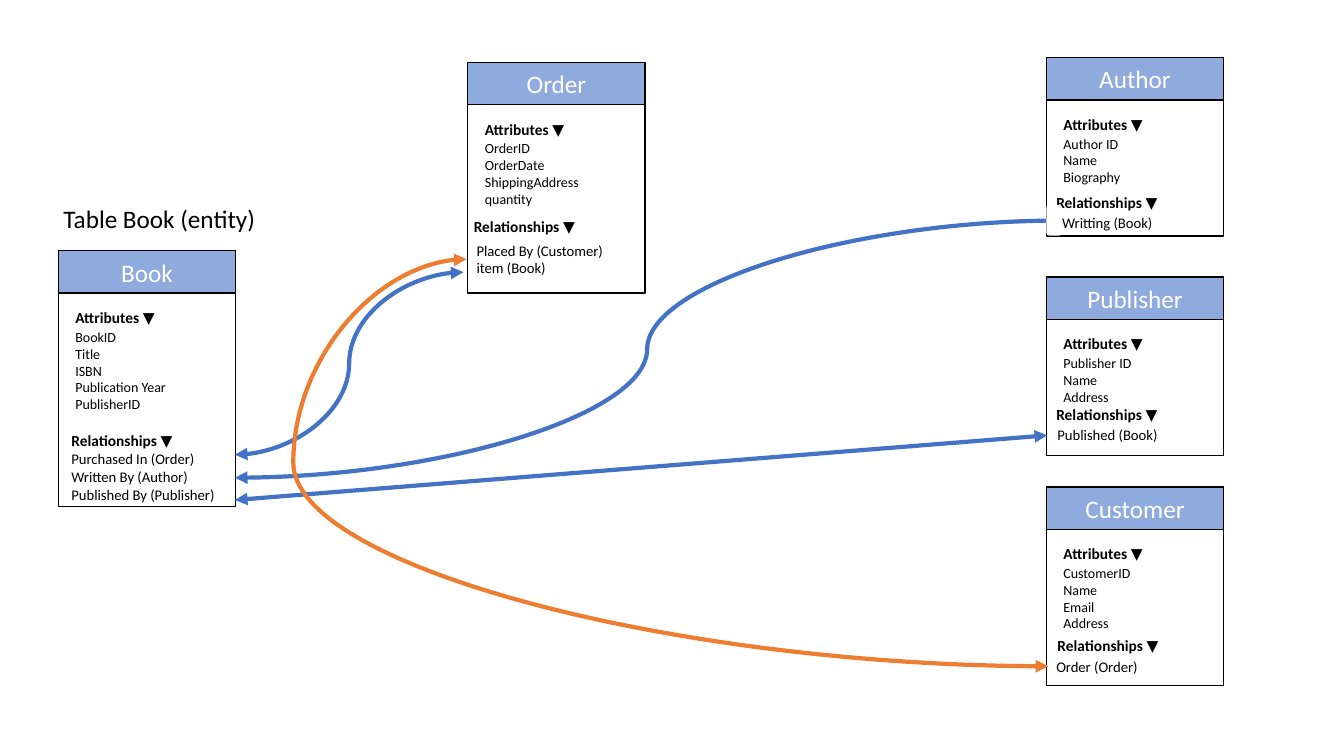
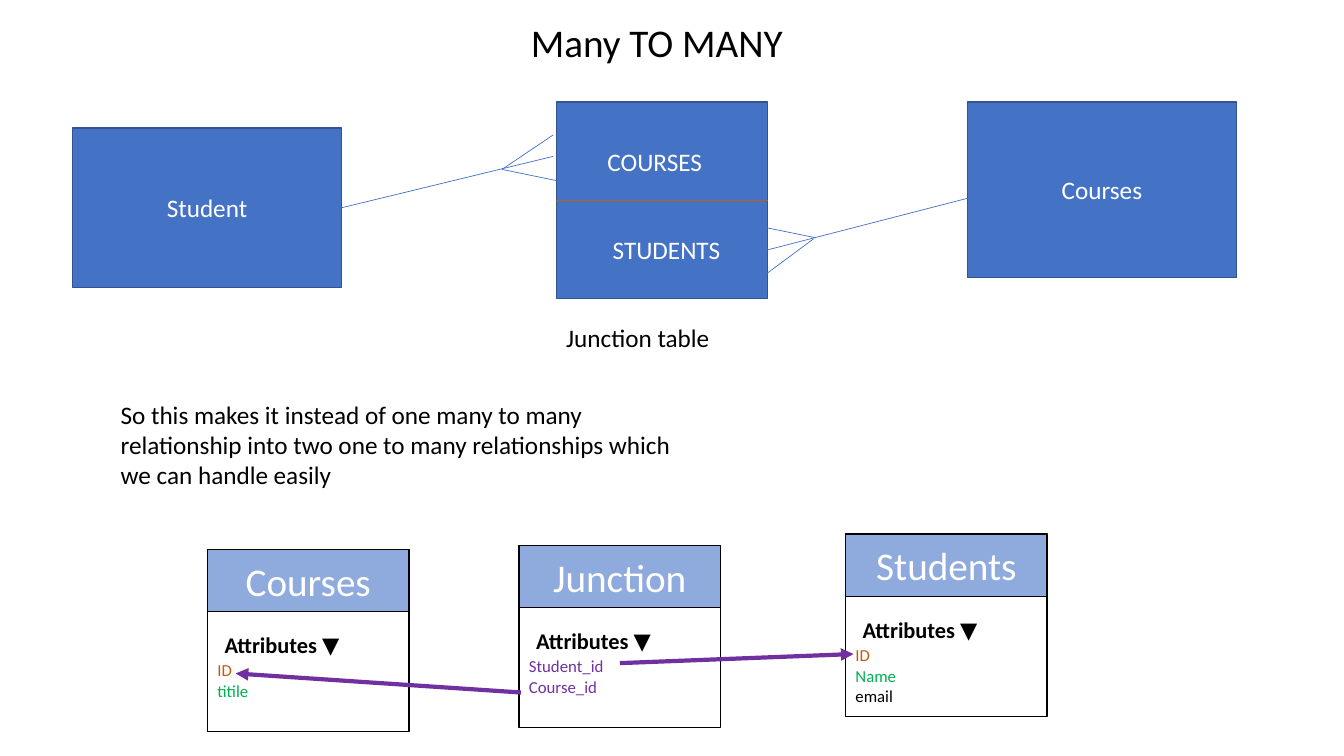
from dataclasses import dataclass
from typing import NamedTuple, Optional

from lxml.etree import SubElement
from pptx import Presentation
from pptx.dml.color import RGBColor
from pptx.enum.shapes import MSO_CONNECTOR as Link, MSO_SHAPE as Preset
from pptx.enum.text import MSO_ANCHOR as Anchor, MSO_AUTO_SIZE as AutoSize, PP_ALIGN as Align
from pptx.oxml.ns import qn
from pptx.shapes.autoshape import Shape
from pptx.shapes.connector import Connector
from pptx.slide import Slide
from pptx.text.text import TextFrame
from pptx.util import Cm, Pt

FONT = "Calibri"
BLACK = RGBColor(0x00, 0x00, 0x00)
WHITE = RGBColor(0xFF, 0xFF, 0xFF)
BLUE = RGBColor(0x44, 0x72, 0xC4)
DARK_BLUE = RGBColor(0x32, 0x54, 0x91)
LIGHT_BLUE = RGBColor(0x8F, 0xAA, 0xDC)
ORANGE = RGBColor(0xED, 0x7D, 0x31)
RUST = RGBColor(0xC5, 0x5A, 0x11)
GREEN = RGBColor(0x00, 0xB0, 0x50)
PURPLE = RGBColor(0x70, 0x30, 0xA0)

LINE_HEIGHT = 1.22 * 2.54 / 72  # cm per point of text
INSETS = 0.25


class Point(NamedTuple):
    x: float
    y: float


class Span(NamedTuple):
    text: str
    color: RGBColor = BLACK


@dataclass(frozen=True)
class EntityStyle:
    width: float
    header_height: float
    title_size: float
    heading_size: float
    field_size: float
    heading_offset: Point
    fields_offset: Point


@dataclass(frozen=True)
class Relationships:
    heading_offset: Point
    items_offset: Point
    items: tuple[str, ...]


@dataclass(frozen=True)
class Entity:
    name: str
    left: float
    top: float
    height: float
    fields: tuple[Span, ...]
    relationships: Optional[Relationships] = None


SMALL = EntityStyle(4.47, 1.07, 18, 11, 10, Point(0.18, 1.32), Point(0.18, 1.83))
LARGE = EntityStyle(5.08, 1.57, 28, 16, 12, Point(0.18, 1.93), Point(0, 2.67))


def plain(*texts: str) -> tuple[Span, ...]:
    return tuple(Span(text) for text in texts)


BOOK_ENTITIES = (
    Entity("Book", 1.47, 6.32, 6.45,
           plain("BookID", "Title", "ISBN", "Publication Year", "PublisherID"),
           Relationships(Point(0.08, 4.42), Point(0.08, 4.9),
                         ("Purchased In (Order)", "Written By (Author)",
                          "Published By (Publisher)"))),
    Entity("Author", 26.37, 1.45, 4.5, plain("Author ID", "Name", "Biography"),
           Relationships(Point(0, 3.28), Point(0.15, 3.81), ("Writting (Book)",))),
    Entity("Publisher", 26.37, 6.98, 4.5, plain("Publisher ID", "Name", "Address"),
           Relationships(Point(0, 3.1), Point(0.03, 3.63), ("Published (Book)",))),
    Entity("Customer", 26.37, 12.27, 5, plain("CustomerID", "Name", "Email", "Address"),
           Relationships(Point(0.03, 3.63), Point(0, 4.19), ("Order (Order)",))),
    Entity("Order", 11.79, 1.57, 5.82,
           plain("OrderID", "OrderDate", "ShippingAddress", "quantity"),
           Relationships(Point(-0.1, 3.78), Point(-0.03, 4.39),
                         ("Placed By (Customer)", "item (Book)"))),
)

JUNCTION_ENTITIES = (
    Entity("Courses", 5.23, 13.84, 4.6, (Span("ID", RUST), Span("titile", GREEN))),
    Entity("Students", 21.31, 13.46, 4.6,
           (Span("ID", RUST), Span("Name", GREEN), Span("email"))),
    Entity("Junction", 13.08, 13.74, 4.6,
           (Span("Student_id", PURPLE), Span("Course_id", PURPLE))),
)


def write(frame: TextFrame, spans: tuple[Span, ...], *, size: float,
          bold: bool = False, align: Align = Align.LEFT) -> None:
    """Write each span as a paragraph of its own."""
    for index, span in enumerate(spans):
        para = frame.paragraphs[0] if index == 0 else frame.add_paragraph()
        para.alignment = align
        run = para.add_run()
        run.text = span.text
        run.font.name = FONT
        run.font.size = Pt(size)
        run.font.bold = bold
        run.font.color.rgb = span.color


def add_text(owner, spans: tuple[Span, ...], left: float, top: float, width: float, *,
             size: float, bold: bool = False, rows: int = 0) -> None:
    height = INSETS + (rows or len(spans)) * size * LINE_HEIGHT
    box = owner.shapes.add_textbox(Cm(left), Cm(top), Cm(width), Cm(height))
    frame = box.text_frame
    frame.word_wrap = True
    frame.auto_size = AutoSize.SHAPE_TO_FIT_TEXT
    write(frame, spans, size=size, bold=bold)


def add_box(owner, left: float, top: float, width: float, height: float, *,
            fill: Optional[RGBColor] = None, line: RGBColor = BLACK, text: str = "",
            size: float = 18, preset: Preset = Preset.RECTANGLE) -> Shape:
    box = owner.shapes.add_shape(preset, Cm(left), Cm(top), Cm(width), Cm(height))
    box.shadow.inherit = False
    if fill is None:
        box.fill.background()
    else:
        box.fill.solid()
        box.fill.fore_color.rgb = fill
    box.line.color.rgb = line
    box.line.width = Pt(1)
    if text:
        box.text_frame.vertical_anchor = Anchor.MIDDLE
        write(box.text_frame, (Span(text, WHITE),), size=size, align=Align.CENTER)
    return box


def add_link(page: Slide, begin: Point, end: Point, *, color: RGBColor = BLUE,
             width: float = 0.5, arrows: tuple[str, ...] = (),
             kind: Link = Link.STRAIGHT, bend: Optional[float] = None) -> Connector:
    """Draw a connector; bend is where a curve turns, as a share of its width."""
    link = page.shapes.add_connector(kind, Cm(begin.x), Cm(begin.y), Cm(end.x), Cm(end.y))
    link.line.color.rgb = color
    link.line.width = Pt(width)
    properties = link.element.find(qn("p:spPr"))
    for arrow in arrows:
        SubElement(properties.find(qn("a:ln")), qn(f"a:{arrow}"), type="triangle")
    if bend is not None:
        guides = properties.find(qn("a:prstGeom")).find(qn("a:avLst"))
        SubElement(guides, qn("a:gd"), name="adj1", fmla=f"val {round(bend * 100000)}")
    SubElement(properties, qn("a:effectLst"))
    return link


def add_entity(page: Slide, entity: Entity, style: EntityStyle) -> None:
    group = page.shapes.add_group_shape()
    left, top, width = entity.left, entity.top, style.width
    add_box(group, left, top, width, entity.height)
    add_box(group, left, top, width, style.header_height, fill=LIGHT_BLUE,
            text=entity.name, size=style.title_size)

    def section(spans: tuple[Span, ...], offset: Point, size: float,
                bold: bool = False) -> None:
        add_text(group, spans, left + offset.x, top + offset.y, width - 0.1,
                 size=size, bold=bold)

    section(plain("Attributes ▼"), style.heading_offset, style.heading_size, bold=True)
    section(entity.fields, style.fields_offset, style.field_size)
    if entity.relationships:
        links = entity.relationships
        section(plain("Relationships ▼"), links.heading_offset, style.heading_size, bold=True)
        section(plain(*links.items), links.items_offset, 10.5)


def build_book_page(page: Slide) -> None:
    for entity in BOOK_ENTITIES:
        add_entity(page, entity, SMALL)
    add_text(page, plain("Table Book (entity)"), 1.35, 5, 5.79, size=18)

    both = ("headEnd", "tailEnd")
    for begin, end, color, kind, bend in (
        (Point(5.92, 12.04), Point(26.7, 5.56), BLUE, Link.CURVE, 0.5),
        (Point(5.92, 11.46), Point(11.68, 6.86), BLUE, Link.CURVE, 0.5),
        (Point(5.92, 12.6), Point(26.39, 10.97), BLUE, Link.STRAIGHT, None),
        (Point(11.76, 6.53), Point(26.42, 16.79), ORANGE, Link.CURVE, -0.298),
    ):
        add_link(page, begin, end, color=color, width=3, arrows=both, kind=kind, bend=bend)
    add_box(page, 26.39, 5.18, 0.36, 0.74, fill=WHITE, line=WHITE,
            preset=Preset.ROUNDED_RECTANGLE)


def build_junction_page(page: Slide) -> None:
    add_text(page, plain("Many TO MANY"), 13.13, 0.33, 15.47, size=28)
    student = add_box(page, 1.83, 3.23, 6.78, 4.01, fill=BLUE, line=DARK_BLUE, text="Student")
    add_box(page, 24.38, 2.57, 6.78, 4.42, fill=BLUE, line=DARK_BLUE, text="Courses")
    student_link = add_link(page, Point(8.61, 5.23), Point(13.94, 3.94))
    student_link.begin_connect(student, 3)
    junction = add_box(page, 14.02, 2.57, 5.33, 4.95, fill=BLUE, line=DARK_BLUE)

    for begin, end in (
        (Point(19.33, 6.3), Point(24.64, 4.93)),
        (Point(12.65, 4.27), Point(13.94, 3.4)),
        (Point(12.65, 4.27), Point(14.02, 4.55)),
        (Point(20.55, 5.99), Point(19.08, 5.69)),
        (Point(20.5, 6.02), Point(19.3, 6.91)),
    ):
        add_link(page, begin, end)
    divider = add_link(page, Point(14.02, 5.04), Point(19.35, 5.04), color=RUST)
    divider.begin_connect(junction, 1)
    divider.end_connect(junction, 3)

    add_text(page, plain("Junction table"), 14.02, 8, 5.33, size=18)
    add_text(page, (Span("COURSES", WHITE),), 15.06, 3.56, 4.17, size=18)
    add_text(page, (Span("STUDENTS", WHITE),), 15.19, 5.79, 4.17, size=18)
    add_text(page, plain("So this makes it instead of one many to many relationship into two "
                         "one to many relationships which we can handle easily"),
             2.79, 9.93, 14.45, size=18, rows=3)

    for entity in JUNCTION_ENTITIES:
        add_entity(page, entity, LARGE)
    for begin, end in (
        (Point(13.13, 17.45), Point(5.94, 16.97)),
        (Point(15.62, 16.71), Point(21.51, 16.48)),
    ):
        add_link(page, begin, end, color=PURPLE, width=3, arrows=("tailEnd",))


def main() -> None:
    deck = Presentation()
    deck.slide_width, deck.slide_height = Cm(33.87), Cm(19.05)
    blank = deck.slide_layouts[6]
    for build in (build_book_page, build_junction_page):
        build(deck.slides.add_slide(blank))
    deck.save("out.pptx")


if __name__ == "__main__":
    main()
